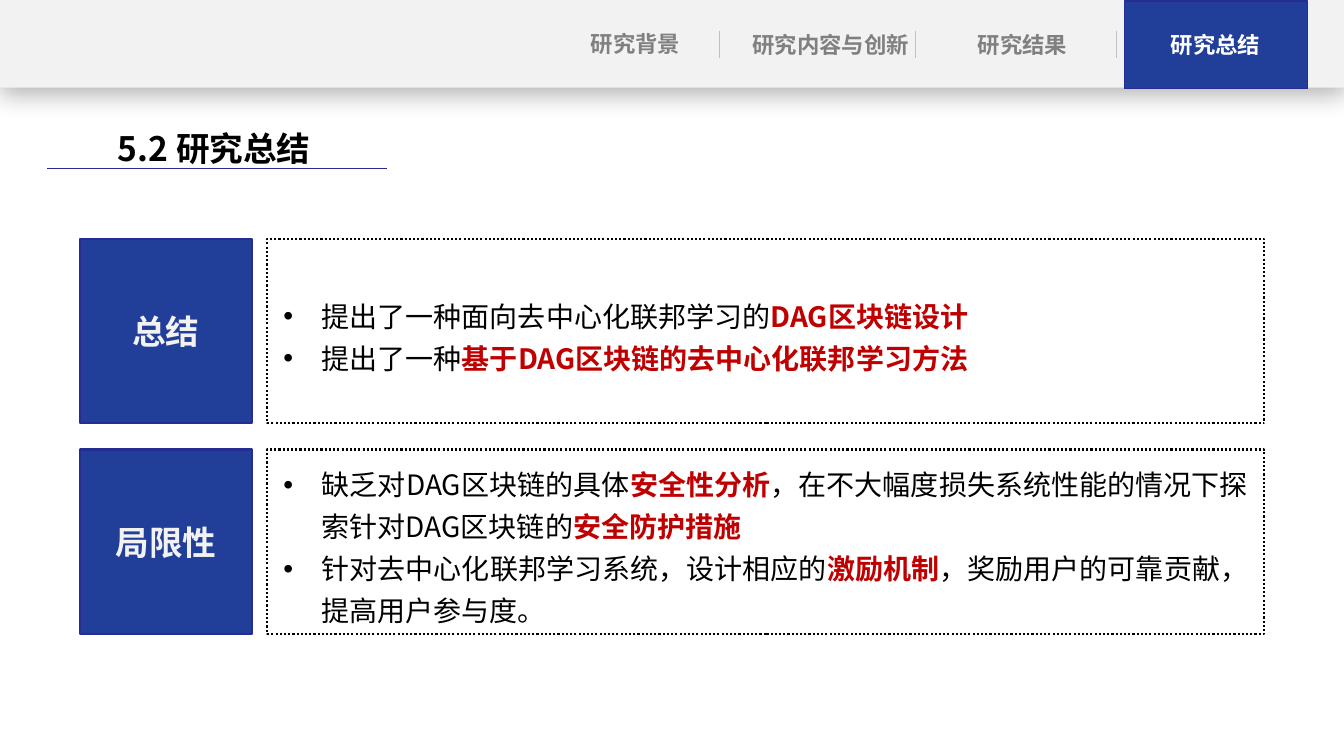
from lxml import etree
from pptx import Presentation
from pptx.dml.color import RGBColor
from pptx.enum.dml import MSO_LINE
from pptx.enum.shapes import MSO_CONNECTOR, MSO_SHAPE
from pptx.enum.text import MSO_ANCHOR, MSO_AUTO_SIZE, PP_ALIGN
from pptx.oxml.ns import qn
from pptx.util import Pt

RECT, STRAIGHT = MSO_SHAPE.RECTANGLE, MSO_CONNECTOR.STRAIGHT
DOTTED = MSO_LINE.ROUND_DOT
MIDDLE, GROW = MSO_ANCHOR.MIDDLE, MSO_AUTO_SIZE.SHAPE_TO_FIT_TEXT
CENTER, JUSTIFY = PP_ALIGN.CENTER, PP_ALIGN.JUSTIFY

FONT = "Noto Sans CJK SC"
COLORS = {
    "blue": "213F99", "edge": "252D95", "bar": "F2F2F2", "rule": "BFBFBF",
    "muted": "808080", "accent": "C00000", "black": "000000", "white": "FFFFFF",
}

# Navigation labels: text, left, top, width, colour
TABS = [
    ("研究背景", 557, 25, 147, "muted"),
    ("研究内容与创新", 734, 26, 180, "muted"),
    ("研究结果", 923, 26, 182, "muted"),
    ("研究总结", 1132, 26, 147, "white"),
]
DIVIDERS = [713, 908, 1107]

# Each bullet is a list of (text, is emphasised)
CARDS = [
    ("总结", [
        [("提出了一种面向去中心化联邦学习的", False), ("DAG区块链设计", True)],
        [("提出了一种", False), ("基于DAG区块链的去中心化联邦学习方法", True)],
    ]),
    ("局限性", [
        [("缺乏对DAG区块链的具体", False), ("安全性分析", True),
         ("，在不大幅度损失系统性能的情况下探索针对DAG区块链的", False),
         ("安全防护措施", True)],
        [("针对去中心化联邦学习系统，设计相应的", False), ("激励机制", True),
         ("，奖励用户的可靠贡献，提高用户参与度。", False)],
    ]),
]
CARD_TOP, CARD_HEIGHT, CARD_PITCH = 237, 183, 209


def px(n):
    """Convert px, 100 to the inch, into EMU."""
    return n * 9144


def rgb(name):
    return RGBColor.from_string(COLORS[name])


def set_margins(tf, left, top, right, bottom):
    margins = {"left": left, "top": top, "right": right, "bottom": bottom}
    for side, n in margins.items():
        setattr(tf, f"margin_{side}", px(n))


def add_run(p, text, size, color, bold):
    r = p.add_run()
    r.text = text
    for name, value in {"size": Pt(size), "bold": bold, "name": FONT}.items():
        setattr(r.font, name, value)
    r.font.color.rgb = rgb(color)
    etree.SubElement(r.font._element, qn("a:ea"), typeface=FONT)


def add_rect(slide, box, fill=None, line=None, width=1.0, dash=None):
    s = slide.shapes.add_shape(RECT, *map(px, box))
    s.shadow.inherit = False
    if fill:
        s.fill.solid()
        s.fill.fore_color.rgb = rgb(fill)
    else:
        s.fill.background()
    if line:
        s.line.color.rgb = rgb(line)
        s.line.width = Pt(width)
        s.line.dash_style = dash
    else:
        s.line.fill.background()
    return s


def add_drop_shadow(s):
    effects = s._element.spPr.find(qn("a:effectLst"))
    shadow = etree.SubElement(effects, qn("a:outerShdw"), blurRad=str(Pt(18)),
                              dist=str(Pt(4)), dir="5400000", algn="t",
                              rotWithShape="0")
    color = etree.SubElement(shadow, qn("a:srgbClr"), val=COLORS["black"])
    etree.SubElement(color, qn("a:alpha"), val="29000")


def add_line(slide, x1, y1, x2, y2, color):
    c = slide.shapes.add_connector(STRAIGHT, *map(px, (x1, y1, x2, y2)))
    c.line.color.rgb = rgb(color)
    c.line.width = Pt(0.5)
    etree.SubElement(c._element.spPr, qn("a:effectLst"))


def add_label(slide, box, text, size, color):
    tf = slide.shapes.add_textbox(*map(px, box)).text_frame
    tf.word_wrap = True
    tf.auto_size = GROW
    set_margins(tf, 0, 5, 0, 5)
    p = tf.paragraphs[0]
    p.alignment = CENTER
    add_run(p, text, size, color, True)


def add_bullet(p, parts):
    p.alignment = JUSTIFY
    p.line_spacing = 1.25
    pPr = p._p.get_or_add_pPr()
    pPr.set("marL", str(px(38)))
    pPr.set("indent", str(px(-38)))
    etree.SubElement(pPr, qn("a:buFont"), typeface="Arial")
    etree.SubElement(pPr, qn("a:buChar"), char="•")
    for text, strong in parts:
        add_run(p, text, 20, "accent" if strong else "black", strong)


def add_card(slide, top, heading, bullets):
    """Add a blue heading block with a dotted frame of bullets beside it."""
    s = add_rect(slide, (79, top, 171, CARD_HEIGHT), "blue", "edge", 1.5)
    s.text_frame.vertical_anchor = MIDDLE
    p = s.text_frame.paragraphs[0]
    p.alignment = CENTER
    add_run(p, heading, 24, "bar", True)

    frame = add_rect(slide, (265, top, 989, CARD_HEIGHT), line="black",
                     width=1.5, dash=DOTTED)
    tf = frame.text_frame
    tf.word_wrap = True
    tf.vertical_anchor = MIDDLE
    set_margins(tf, 16, 8, 16, 5)
    for i, parts in enumerate(bullets):
        add_bullet(tf.add_paragraph() if i else tf.paragraphs[0], parts)


def add_navigation(slide):
    add_drop_shadow(add_rect(slide, (0, 0, 1333, 87), "bar"))
    add_rect(slide, (1115, 1, 182, 87), "blue", "edge")
    for x in DIVIDERS:
        add_line(slide, x, 31, x, 58, "rule")
    for text, left, top, width, color in TABS:
        add_label(slide, (left, top, width, 38), text, 16, color)


def main():
    prs = Presentation()
    prs.slide_width, prs.slide_height = px(1333), px(750)
    slide = prs.slides.add_slide(prs.slide_layouts[6])
    add_line(slide, 47, 167, 384, 167, "edge")
    add_label(slide, (23, 122, 379, 51), "5.2 研究总结", 24, "black")
    for i, (heading, bullets) in enumerate(CARDS):
        add_card(slide, CARD_TOP + i * CARD_PITCH, heading, bullets)
    add_navigation(slide)
    prs.save("out.pptx")


if __name__ == "__main__":
    main()
